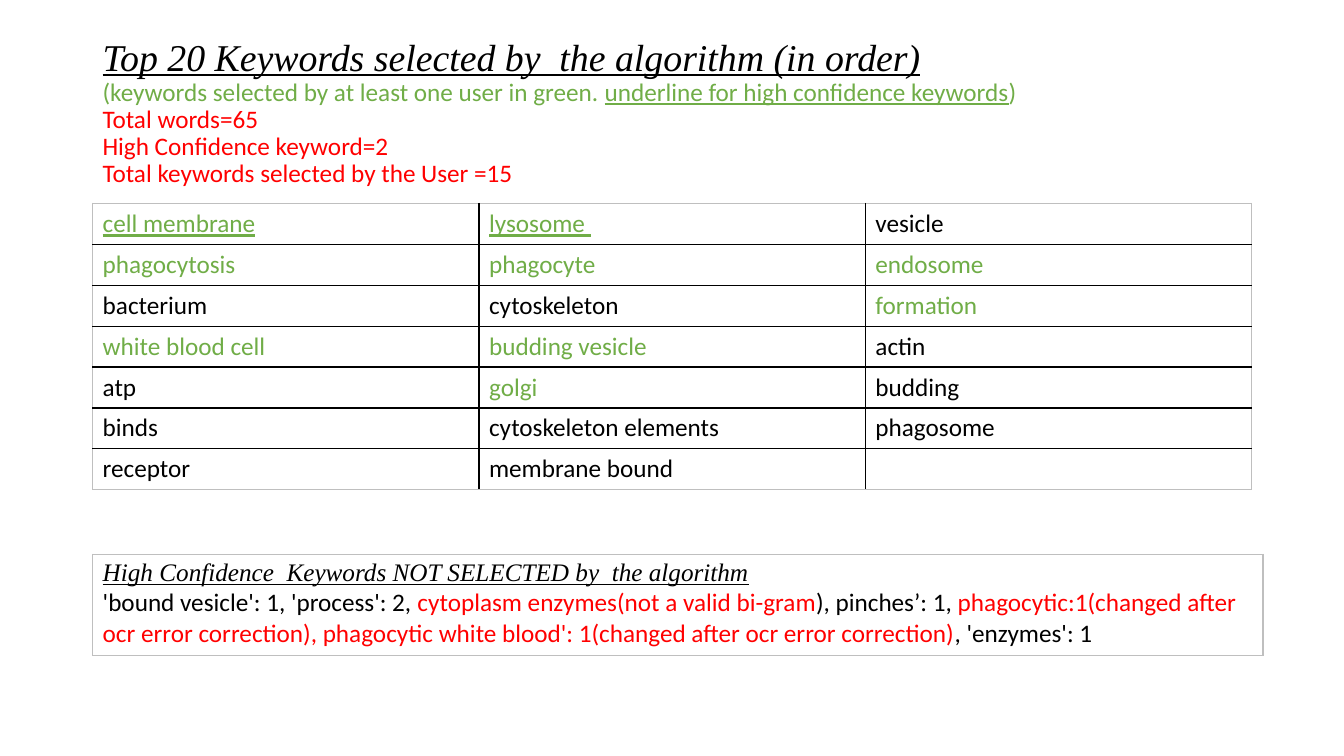
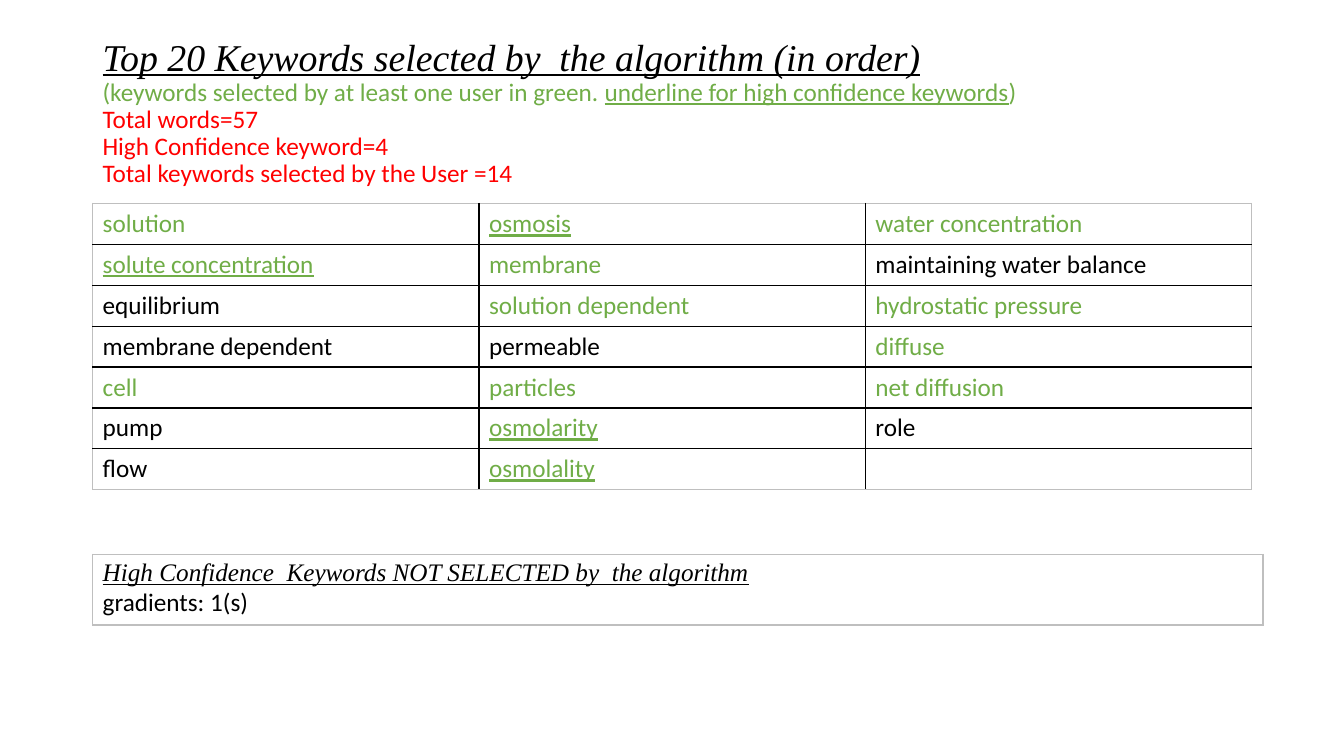
from dataclasses import dataclass

from lxml.etree import SubElement
from pptx import Presentation
from pptx.dml.color import RGBColor
from pptx.enum.text import MSO_ANCHOR
from pptx.oxml.ns import qn
from pptx.util import Pt

BLACK = RGBColor(0x00, 0x00, 0x00)
GREEN = RGBColor(0x70, 0xAD, 0x47)
RED = RGBColor(0xFF, 0x00, 0x00)
GRAY = RGBColor(0xBF, 0xBF, 0xBF)
BODY_FONT = "Calibri"
HEAD_FONT = "Times New Roman"
NO_STYLE = "{2D5ABB26-0587-4C30-8999-92F81FD0307C}"
FONT_FIELDS = ("name", "size", "italic", "underline", "color")

LEFT = 66.2
TITLE_BOX = (LEFT, 28.8, 828, 104.4)
KEYWORD_BOX = (LEFT, 145.4, 828, 204.4)
MISSED_LEFT, MISSED_TOP, MISSED_WIDTH = LEFT, 396, 836


@dataclass
class Span:
    text: str
    color: RGBColor = BLACK
    underline: bool = False
    name: str = BODY_FONT
    size: float = 18
    italic: bool = False


def heading(text, size):
    return Span(text, underline=True, name=HEAD_FONT, size=size, italic=True)


def chosen(text):
    return Span(text, GREEN)


def confident(text):
    return Span(text, GREEN, underline=True)


def set_font(font, field, value):
    if field == "color":
        font.color.rgb = value
    else:
        setattr(font, field, Pt(value) if field == "size" else value)


def write(p, lines):
    pairs = []
    for i, line in enumerate(lines):
        if i:
            p.add_line_break()
        for span in line:
            r = p.add_run()
            r.text = span.text
            pairs.append((r, span))
    for field in FONT_FIELDS:
        values = [getattr(span, field) for _, span in pairs]
        if all(value == values[0] for value in values):
            set_font(p.font, field, values[0])
        else:
            for (r, _), value in zip(pairs, values):
                set_font(r.font, field, value)


def set_border(cell, side, color):
    ln = SubElement(cell._tc.get_or_add_tcPr(), qn(f"a:{side}"), w=str(Pt(1)))
    SubElement(SubElement(ln, qn("a:solidFill")), qn("a:srgbClr"), val=str(color))


def add_grid(s, box, rows):
    left, top, width, height = map(Pt, box)
    n_rows, n_cols = len(rows), len(rows[0])
    table = s.shapes.add_table(n_rows, n_cols, left, top, width, height).table
    table.first_row = table.horz_banding = False
    table._tbl.tblPr.find(qn("a:tableStyleId")).text = NO_STYLE
    for i, row in enumerate(rows):
        for j, paragraphs in enumerate(row):
            cell = table.cell(i, j)
            outer = {"lnL": j == 0, "lnR": j == n_cols - 1,
                     "lnT": i == 0, "lnB": i == n_rows - 1}
            for side, is_outer in outer.items():
                set_border(cell, side, GRAY if is_outer else BLACK)
            cell.fill.background()
            tf = cell.text_frame
            for k, spans in enumerate(paragraphs):
                write(tf.add_paragraph() if k else tf.paragraphs[0], [spans])


def add_title(s, box, total, confidence, selected):
    tf = s.shapes.add_textbox(*map(Pt, box)).text_frame
    tf.word_wrap = True
    tf.vertical_anchor = MSO_ANCHOR.MIDDLE
    p = tf.paragraphs[0]
    p.line_spacing = 0.9
    write(p, [
        [heading("Top 20 Keywords selected by  the algorithm (in order)", 27)],
        [chosen("(keywords selected by at least one user in green. "),
         confident("underline for high confidence keywords"), chosen(")")],
        [Span(f"Total words={total}", RED)],
        [Span(f"High Confidence keyword={confidence}", RED)],
        [Span(f"Total keywords selected by the User ={selected}", RED)],
    ])


def add_keywords(s, box, keywords):
    cells = [[[word]] for word in keywords + [Span("")]]
    add_grid(s, box, [cells[i:i + 3] for i in range(0, len(cells), 3)])


def add_missed(s, box, spans):
    title = heading("High Confidence  Keywords NOT SELECTED by  the algorithm", 18)
    add_grid(s, box, [[[[title], spans]]])


def add_keyword_slide(prs, counts, keywords, missed, missed_height):
    s = prs.slides.add_slide(prs.slide_layouts[6])
    add_title(s, TITLE_BOX, *counts)
    add_keywords(s, KEYWORD_BOX, keywords)
    add_missed(s, (MISSED_LEFT, MISSED_TOP, MISSED_WIDTH, missed_height), missed)


PHAGOCYTOSIS_WORDS = [
    confident("cell membrane"), confident("lysosome "), Span("vesicle"),
    chosen("phagocytosis"), chosen("phagocyte"), chosen("endosome"),
    Span("bacterium"), Span("cytoskeleton"), chosen("formation"),
    chosen("white blood cell"), chosen("budding vesicle"), Span("actin"),
    Span("atp"), chosen("golgi"), Span("budding"),
    Span("binds"), Span("cytoskeleton elements"), Span("phagosome"),
    Span("receptor"), Span("membrane bound"),
]
PHAGOCYTOSIS_MISSED = [
    Span("'bound vesicle': 1, 'process': 2, "),
    Span("cytoplasm enzymes(not a valid bi-gram", RED),
    Span("), pinches’: 1, "),
    Span("phagocytic:1(changed after ocr error correction), "
         "phagocytic white blood': 1(changed after ocr error correction)", RED),
    Span(", 'enzymes': 1"),
]
OSMOSIS_WORDS = [
    chosen("solution"), confident("osmosis"), chosen("water concentration"),
    confident("solute concentration"), chosen("membrane"),
    Span("maintaining water balance"),
    Span("equilibrium"), chosen("solution dependent"), chosen("hydrostatic pressure"),
    Span("membrane dependent"), Span("permeable"), chosen("diffuse"),
    chosen("cell"), chosen("particles"), chosen("net diffusion"),
    Span("pump"), confident("osmolarity"), Span("role"),
    Span("flow"), confident("osmolality"),
]
OSMOSIS_MISSED = [Span("gradients: 1(s)")]


def main():
    prs = Presentation()
    prs.slide_width, prs.slide_height = Pt(960), Pt(540)
    add_keyword_slide(prs, (65, 2, 15), PHAGOCYTOSIS_WORDS, PHAGOCYTOSIS_MISSED, 70)
    add_keyword_slide(prs, (57, 4, 14), OSMOSIS_WORDS, OSMOSIS_MISSED, 49)
    prs.save("out.pptx")


if __name__ == "__main__":
    main()
